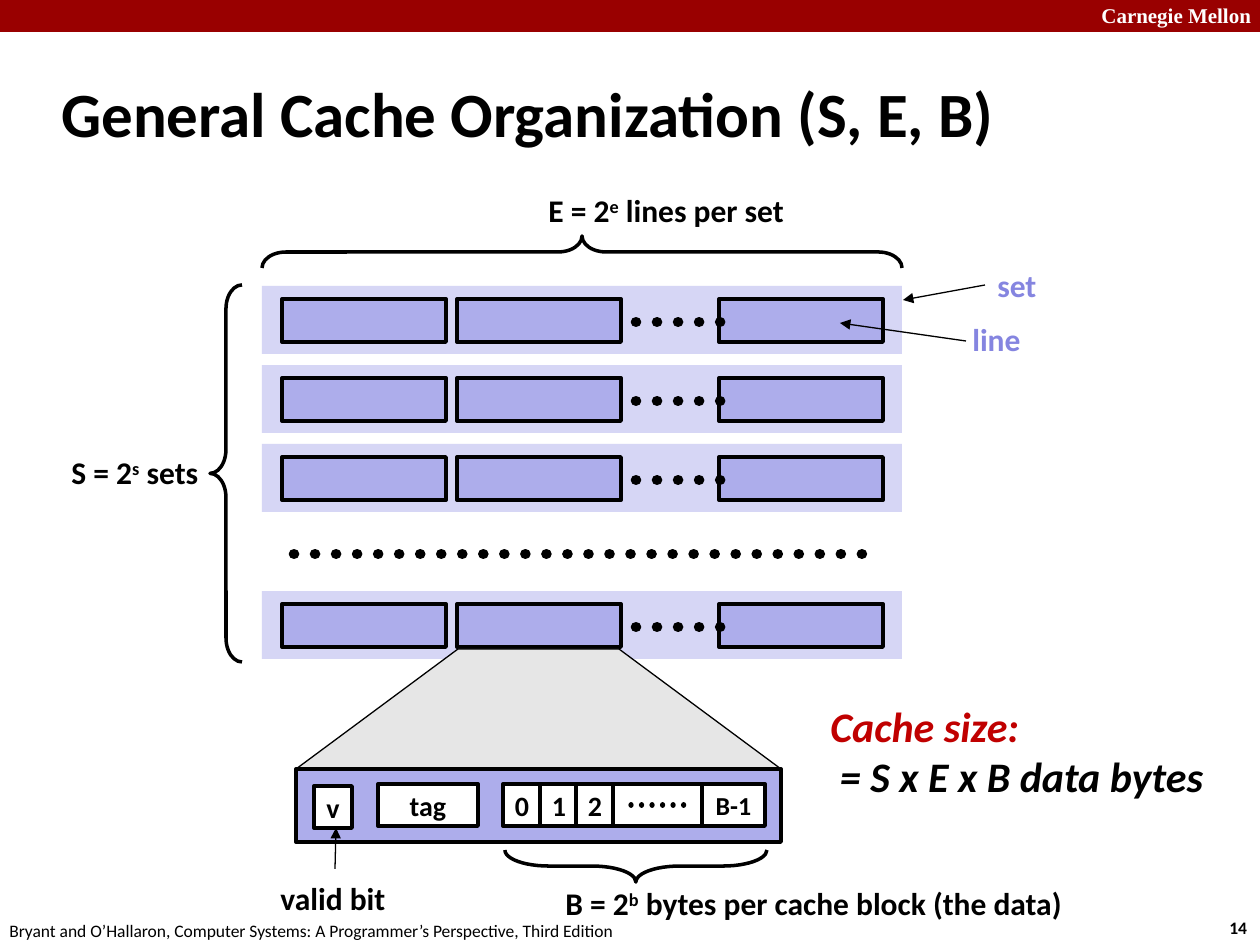
from lxml.etree import SubElement
from pptx import Presentation
from pptx.dml.color import RGBColor
from pptx.enum.dml import MSO_LINE
from pptx.enum.shapes import MSO_CONNECTOR, MSO_SHAPE as SHAPE
from pptx.enum.text import MSO_ANCHOR as ANCHOR, PP_ALIGN as ALIGN
from pptx.oxml.ns import qn
from pptx.util import Emu, Pt

PX = 914400 / 126
BLACK = RGBColor(0x00, 0x00, 0x00)
WHITE = RGBColor(0xFF, 0xFF, 0xFF)
BAR_RED = RGBColor(0x99, 0x00, 0x00)
SIZE_RED = RGBColor(0xC0, 0x00, 0x00)
SET_FILL = RGBColor(0xD6, 0xD6, 0xF5)
LINE_FILL = RGBColor(0xAD, 0xAD, 0xEB)
LABEL_VIOLET = RGBColor(0x85, 0x85, 0xE0)
ZOOM_GREY = RGBColor(0xE6, 0xE6, 0xE6)


def px(*lengths):
    """Turn pixel lengths into EMU."""
    return [Emu(round(length * PX)) for length in lengths]


def style(paragraph, size, color=BLACK, bold=True, italic=False, face="Calibri"):
    """Set the font of a whole paragraph."""
    font = paragraph.font
    font.name, font.size, font.bold, font.italic = face, Pt(size), bold, italic
    font.color.rgb = color


def add_label(slide, box, text, size=18, wrap=False, anchor=ANCHOR.TOP, **font):
    """Add a text box; text between carets becomes superscript."""
    frame = slide.shapes.add_textbox(*px(*box)).text_frame
    frame.word_wrap, frame.vertical_anchor = wrap, anchor
    paragraph = frame.paragraphs[0]
    for index, part in enumerate(text.split("^")):
        run = paragraph.add_run()
        run.text = part
        if index % 2:
            run._r.get_or_add_rPr().set("baseline", "30000")
    style(paragraph, size, **font)
    return frame


def add_box(slide, box, fill, weight=2.25, text="", size=16, kind=SHAPE.RECTANGLE):
    """Add a filled shape, outlined in black when weight is not zero."""
    shape = slide.shapes.add_shape(kind, *px(*box))
    shape.shadow.inherit = False
    shape.fill.solid()
    shape.fill.fore_color.rgb = fill
    if weight:
        shape.line.color.rgb, shape.line.width = BLACK, Pt(weight)
    else:
        shape.line.fill.background()
    if text:
        frame = shape.text_frame
        frame.word_wrap, frame.vertical_anchor = False, ANCHOR.MIDDLE
        frame.text = text
        frame.paragraphs[0].alignment = ALIGN.CENTER
        style(frame.paragraphs[0], size)
    return shape


def add_line(slide, start, end, weight):
    """Add a straight black line without shadow."""
    line = slide.shapes.add_connector(MSO_CONNECTOR.STRAIGHT, *px(*start, *end))
    line.line.color.rgb, line.line.width = BLACK, Pt(weight)
    SubElement(line._element.spPr, qn("a:effectLst"))
    return line


def add_arrow(slide, start, end):
    """Add a thin arrow that points at end."""
    arrow = add_line(slide, start, end, 0.75)
    outline = arrow._element.spPr.find(qn("a:ln"))
    SubElement(outline, qn("a:tailEnd"), type="triangle")


def add_dots(slide, left, right, y, weight):
    """Add a horizontal row of round dots."""
    dots = add_line(slide, (left, y), (right, y), weight)
    dots.line.dash_style = MSO_LINE.ROUND_DOT
    dots._element.spPr.find(qn("a:ln")).set("cap", "rnd")


def add_brace(slide, box, rotation=0, curve=0.75):
    """Add a brace that fills box after it is turned."""
    left, top, width, height = box
    if rotation:
        shift = (width - height) / 2
        left, top, width, height = left + shift, top - shift, height, width
    brace = slide.shapes.add_shape(SHAPE.LEFT_BRACE, *px(left, top, width, height))
    brace.shadow.inherit = False
    brace.fill.background()
    brace.line.color.rgb, brace.line.width = BLACK, Pt(2)
    brace.adjustments[0] = curve
    brace.rotation = rotation


def add_page_frame(slide, width, height):
    """Add the top bar, the footer and the page number."""
    add_box(slide, (0, 0, width, 32), BAR_RED, weight=0)
    add_label(slide, (1089, -4, 180, 38), "Carnegie Mellon", 12, wrap=True,
              color=WHITE, face="Times New Roman")
    add_label(slide, (width - 43, height - 34, 47, 34), "14", 10)
    add_label(slide, (-3, height - 31, 640, 34),
              "Bryant and O’Hallaron, Computer Systems: "
              "A Programmer’s Perspective, Third Edition", 10, bold=False)


def add_set(slide, left, top, width, height):
    """Add one cache set with its lines."""
    add_box(slide, (left, top, width, height), SET_FILL, weight=0)
    for offset in (20, 195, 457):
        add_box(slide, (left + offset, top + 13, 164, 43), LINE_FILL)
    add_dots(slide, left + 374, left + 459, top + 36, 6)


def add_cache(slide, left, top, width, height):
    """Add all sets with their braces, labels and arrows."""
    for offset in (0, 79, 158, 305):
        add_set(slide, left, top + offset, width, 68)
    add_dots(slide, left + 32, left + 620, top + 268, 6)
    add_brace(slide, (left, top - 50, width, 32), rotation=90)
    add_brace(slide, (left - 52, top - 1, 32, height + 4))
    add_label(slide, (left + 274, top - 101, 270, 50), "E = 2^e^ lines per set")
    add_label(slide, (left - 203, top + 161, 155, 50), "S = 2^s^ sets")
    right = left + width
    add_arrow(slide, (right + 83, top - 1), (right + 1, top + 14))
    add_label(slide, (right + 83, top - 26, 64, 50), "set", color=LABEL_VIOLET)
    add_arrow(slide, (right + 64, top + 55), (right - 62, top + 37))
    add_label(slide, (right + 58, top + 28, 74, 50), "line", color=LABEL_VIOLET)


def add_line_detail(slide, left, top, width, height):
    """Add the enlarged cache line with valid bit, tag and bytes."""
    zoom = add_box(slide, (left, top - 120, width, 120), ZOOM_GREY, 0.75,
                   kind=SHAPE.TRAPEZOID)
    zoom.adjustments[0] = 1.35
    add_box(slide, (left, top, width, height), LINE_FILL)
    for text, offset, cell_width, size in (
            ("0", 207, 38, 16), ("1", 244, 38, 16), ("2", 280, 38, 16),
            ("B-1", 406, 63, 14.8), ("", 317, 89, 16), ("tag", 82, 100, 16)):
        add_box(slide, (left + offset, top + 15, cell_width, 42), WHITE,
                text=text, size=size)
    add_dots(slide, left + 335, left + 398, top + 36, 3)
    add_box(slide, (left + 18, top + 17, 38, 42), WHITE, text="v")
    bottom = top + height
    add_arrow(slide, (left + 39, bottom + 27), (left + 40, bottom - 14))
    add_label(slide, (left - 28, bottom + 31, 131, 50), "valid bit")
    add_brace(slide, (left + 209, bottom + 8, 262, 32), rotation=270, curve=1.37)
    add_label(slide, (left + 257, bottom + 36, 541, 50),
              "B = 2^b^ bytes per cache block (the data)")


def add_cache_size(slide, *box):
    """Add the cache size formula."""
    frame = add_label(slide, box, "Cache size:", 24, color=SIZE_RED, italic=True)
    formula = frame.add_paragraph()
    formula.text = " = S x E x B data bytes"
    style(formula, 24, italic=True)


def main():
    """Build the slide and save it."""
    deck = Presentation()
    deck.slide_width, deck.slide_height = px(1260, 945)
    slide = deck.slides.add_slide(deck.slide_layouts[6])
    add_page_frame(slide, 1260, 945)
    add_label(slide, (49, 60, 1046, 105), "General Cache Organization (S, E, B)",
              36, wrap=True, anchor=ANCHOR.MIDDLE)
    add_cache(slide, 262, 286, 640, 373)
    add_line_detail(slide, 296, 769, 485, 73)
    add_cache_size(slide, 818, 694, 401, 115)
    deck.save("out.pptx")


if __name__ == "__main__":
    main()
